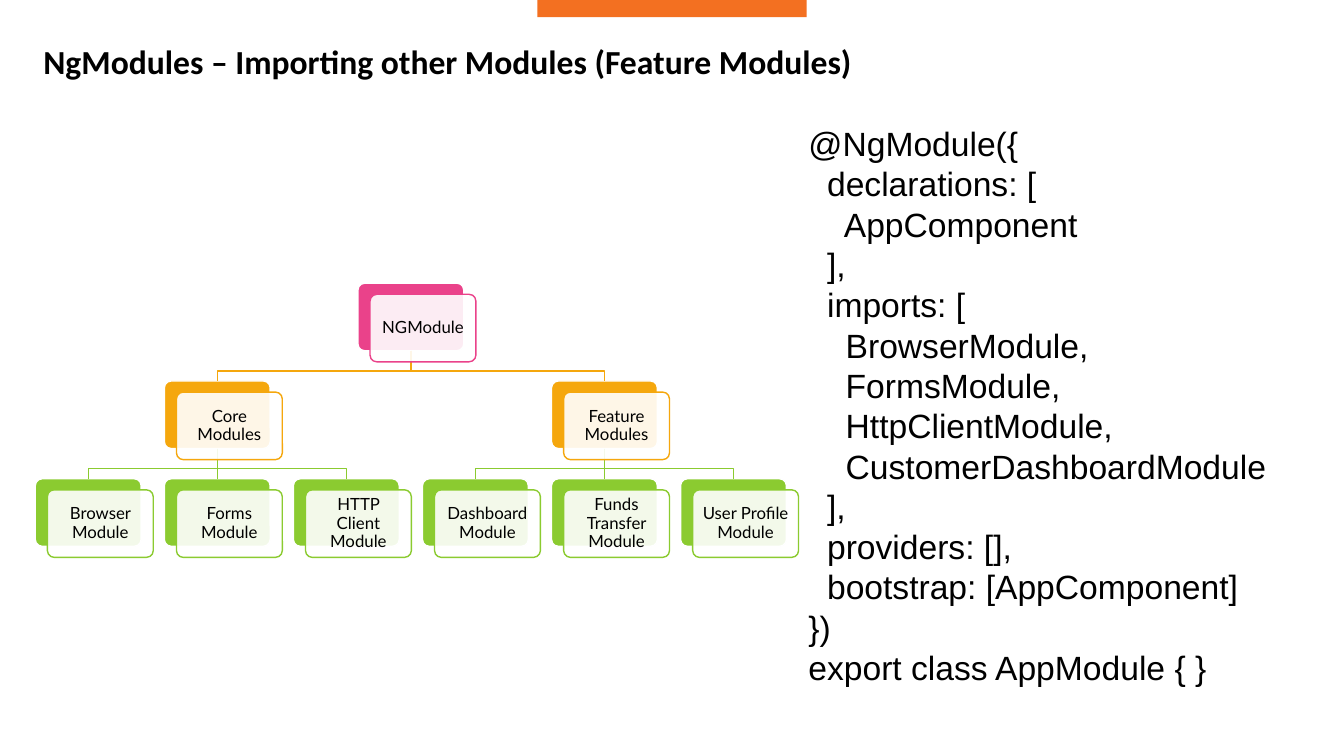
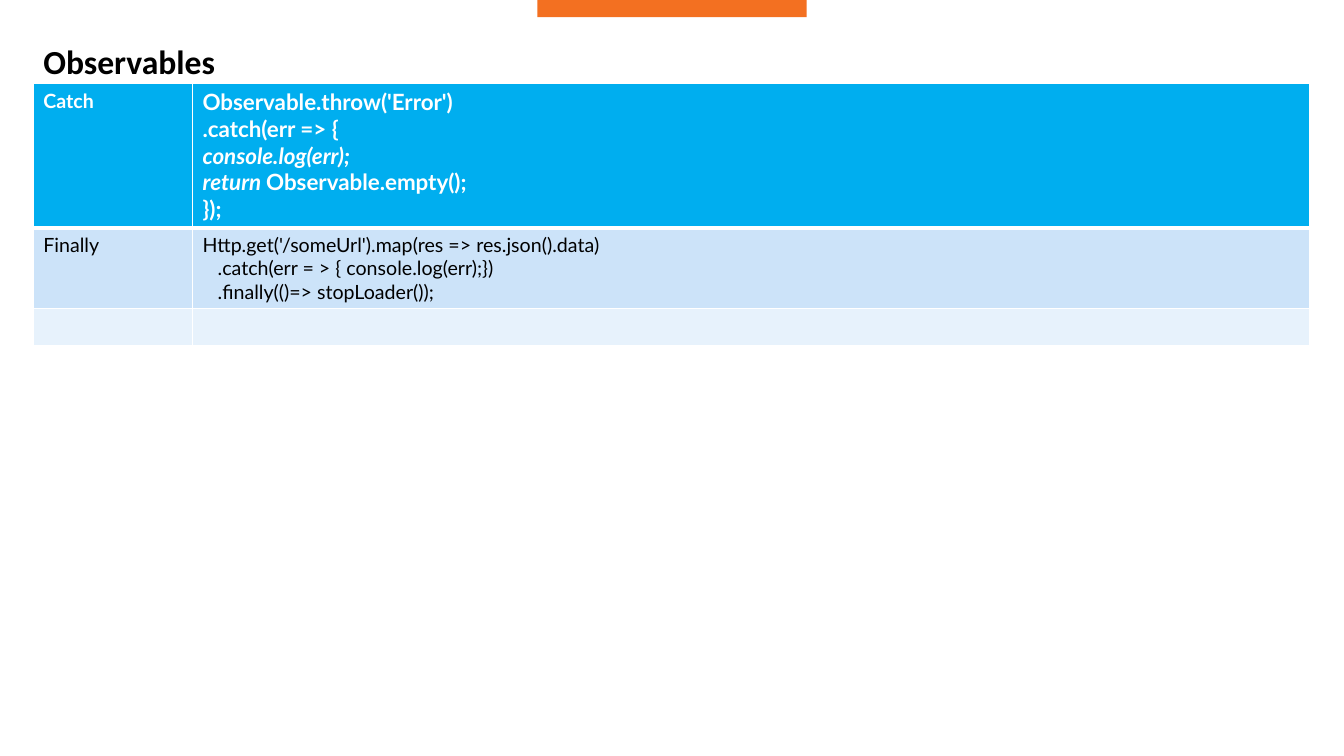
from lxml.etree import SubElement
from pptx import Presentation
from pptx.dml.color import RGBColor
from pptx.enum.shapes import MSO_CONNECTOR, MSO_SHAPE
from pptx.enum.text import MSO_ANCHOR, PP_ALIGN
from pptx.oxml.ns import qn
from pptx.util import Inches, Pt

COLORS = {
    "black": "000000", "white": "FFFFFF", "band": "F37021",
    "root": "EA428A", "group": "F5A70D", "leaf": "8BCB30",
    "header": "00AEEF", "row_dark": "CCE3F9", "row_light": "E7F2FC",
}
TITLE_FONT = {"name": "Calibri", "size": Pt(24), "bold": True}
CODE_FONT = {"name": "Arial", "size": Pt(24)}
CARD_FONT = {"name": "Lato", "size": Pt(12)}
CELL_FONT = {"name": "Lato", "size": Pt(14), "bold": False}
HEADER_FONT = {"name": "Lato", "size": Pt(14), "bold": True}
HEADER_CODE_FONT = {**HEADER_FONT, "size": Pt(16)}

CARD_WIDTH, CARD_HEIGHT = 1.05, 0.67
COLUMN_STEP, LEVEL_STEP = 1.28, 0.97
FRONT_SHIFT_X, FRONT_SHIFT_Y = 0.12, 0.11

# Each card: text, level, column and the index of its parent card
MODULE_TREE = [
    ("NGModule", 0, 2.5, None),
    ("Core Modules", 1, 1, 0),
    ("Feature Modules", 1, 4, 0),
    ("Browser Module", 2, 0, 1),
    ("Forms Module", 2, 1, 1),
    ("HTTP Client Module", 2, 2, 1),
    ("Dashboard Module", 2, 3, 2),
    ("Funds Transfer Module", 2, 4, 2),
    ("User Profile Module", 2, 5, 2),
]
LEVEL_COLORS = ["root", "group", "leaf"]

MODULE_CODE = """@NgModule({
  declarations: [
    AppComponent
  ],
  imports: [
    BrowserModule,
    FormsModule,
    HttpClientModule,
    CustomerDashboardModule
  ],
  providers: [],
  bootstrap: [AppComponent]
})
export class AppModule { }"""

# Each cell is a list of lines, each line a list of (text, italic) runs
CATCH_CODE = [
    [("Observable.throw('Error')", False)],
    [(".catch(err => {", False)],
    [("console.log(err);", True)],
    [("return ", True), ("Observable.empty();", False)],
    [("});", False)],
]
FINALLY_CODE = [
    [("Http.get('/someUrl').map(res => res.json().data)", False)],
    [("   .catch(err = > { console.log(err);})", False)],
    [("   .finally(()=> stopLoader());", False)],
]
# Each row: height, fill, text colour, bottom border, and (lines, font) per cell
OBSERVABLE_ROWS = [
    (1.43, "header", "white", 3,
     [([[("Catch", False)]], HEADER_FONT), (CATCH_CODE, HEADER_CODE_FONT)]),
    (0.79, "row_dark", "black", 1,
     [([[("Finally", False)]], CELL_FONT), (FINALLY_CODE, CELL_FONT)]),
    (0.37, "row_light", "black", 1, [([], CELL_FONT), ([], CELL_FONT)]),
]


def rgb(color):
    return RGBColor.from_string(COLORS[color])


def format_font(font, values, color="black"):
    for name, value in values.items():
        setattr(font, name, value)
    font.color.rgb = rgb(color)


def fill_solid(fill, color):
    fill.solid()
    fill.fore_color.rgb = rgb(color)


def format_line(line, color, width=1):
    line.color.rgb = rgb(color)
    line.width = Pt(width)


def add_titled_slide(presentation, title_text):
    """Add a title-only slide with the top band and the shared title style."""
    slide = presentation.slides.add_slide(presentation.slide_layouts[5])
    band = slide.shapes.add_shape(
        MSO_SHAPE.RECTANGLE, Inches(5.33), 0, Inches(2.67), Inches(0.17))
    band.shadow.inherit = False
    fill_solid(band.fill, "band")
    band.line.fill.background()

    title = slide.shapes.title
    title.left, title.top = Inches(0.33), Inches(0.43)
    title.width, title.height = Inches(12.67), Inches(0.57)
    frame = title.text_frame
    frame.text = title_text
    frame.vertical_anchor = MSO_ANCHOR.TOP
    paragraph = frame.paragraphs[0]
    paragraph.alignment = PP_ALIGN.LEFT
    paragraph.line_spacing = 0.8
    format_font(paragraph.runs[0].font, TITLE_FONT)
    return slide


def add_card(slide, left, top):
    card = slide.shapes.add_shape(
        MSO_SHAPE.ROUNDED_RECTANGLE, left, top,
        Inches(CARD_WIDTH), Inches(CARD_HEIGHT))
    card.adjustments[0] = 0.1
    card.shadow.inherit = False
    return card


def add_back_card(slide, left, top, color):
    card = add_card(slide, left, top)
    fill_solid(card.fill, color)
    format_line(card.line, "white")
    return card


def add_front_card(slide, back, text, color):
    """Add the translucent labelled card, shifted from its back card."""
    card = add_card(slide, back.left + Inches(FRONT_SHIFT_X),
                    back.top + Inches(FRONT_SHIFT_Y))
    fill_solid(card.fill, "white")
    white = card.fill._xPr.find(qn("a:solidFill"))[0]
    SubElement(white, qn("a:alpha"), val="90000")
    format_line(card.line, color)
    frame = card.text_frame
    frame.word_wrap = True
    for side in ("left", "top", "right", "bottom"):
        setattr(frame, f"margin_{side}", Inches(0.06))
    frame.vertical_anchor = MSO_ANCHOR.MIDDLE
    frame.text = text
    paragraph = frame.paragraphs[0]
    paragraph.alignment = PP_ALIGN.CENTER
    paragraph.line_spacing = 0.9
    format_font(paragraph.runs[0].font, CARD_FONT)


def join_cards(slide, parent, child, color):
    """Draw a straight line to a child below its parent, else a bent one."""
    start_x, end_x = (card.left + card.width // 2 for card in (parent, child))
    start_y, end_y = parent.top + parent.height, child.top
    if parent.left == child.left:
        link = slide.shapes.add_connector(
            MSO_CONNECTOR.STRAIGHT, start_x, start_y, end_x, end_y)
        link.begin_connect(parent, 2)
        link.end_connect(child, 0)
        SubElement(link._element.spPr, qn("a:effectLst"))
        format_line(link.line, color)
        return
    bend_y = start_y + (end_y - start_y) * 2 // 3
    builder = slide.shapes.build_freeform(start_x, start_y)
    builder.add_line_segments(
        [(start_x, bend_y), (end_x, bend_y), (end_x, end_y)], close=False)
    link = builder.convert_to_shape()
    link.shadow.inherit = False
    link.fill.background()
    format_line(link.line, color)


def add_module_tree(slide, left, top):
    backs = [
        add_back_card(slide, Inches(left + column * COLUMN_STEP),
                      Inches(top + level * LEVEL_STEP), LEVEL_COLORS[level])
        for _, level, column, _ in MODULE_TREE
    ]
    for back, (_, level, _, parent) in zip(backs, MODULE_TREE):
        if parent is not None:
            join_cards(slide, backs[parent], back, LEVEL_COLORS[level])
    for back, (text, level, _, _) in zip(backs, MODULE_TREE):
        add_front_card(slide, back, text, LEVEL_COLORS[level])


def add_code(slide, left, top, width, height):
    box = slide.shapes.add_textbox(
        Inches(left), Inches(top), Inches(width), Inches(height))
    frame = box.text_frame
    frame.word_wrap = True
    frame.text = MODULE_CODE
    for paragraph in frame.paragraphs:
        format_font(paragraph.runs[0].font, CODE_FONT)


def set_borders(cell, top_width, bottom_width):
    properties = cell._tc.get_or_add_tcPr()
    widths = {"lnL": 1, "lnR": 1, "lnT": top_width, "lnB": bottom_width}
    for side, width in widths.items():
        border = SubElement(properties, qn(f"a:{side}"), w=str(Pt(width)))
        solid = SubElement(border, qn("a:solidFill"))
        SubElement(solid, qn("a:srgbClr"), val=COLORS["white"])


def write_cell(cell, lines, font, color):
    frame = cell.text_frame
    if not lines:
        end = frame.paragraphs[0]._p.get_or_add_endParaRPr()
        end.set("sz", str(int(font["size"].pt * 100)))
    for index, line in enumerate(lines):
        paragraph = frame.add_paragraph() if index else frame.paragraphs[0]
        for text, italic in line:
            run = paragraph.add_run()
            run.text = text
            format_font(run.font, {**font, "italic": italic}, color)


def add_observable_table(slide, left, top, column_widths):
    heights = [row[0] for row in OBSERVABLE_ROWS]
    table = slide.shapes.add_table(
        len(heights), len(column_widths), Inches(left), Inches(top),
        Inches(sum(column_widths)), Inches(sum(heights))).table
    for column, width in zip(table.columns, column_widths):
        column.width = Inches(width)
    top_border = 1
    for row, values in zip(table.rows, OBSERVABLE_ROWS):
        height, fill, color, bottom_border, contents = values
        row.height = Inches(height)
        for cell, (lines, font) in zip(row.cells, contents):
            set_borders(cell, top_border, bottom_border)
            fill_solid(cell.fill, fill)
            write_cell(cell, lines, font, color)
        top_border = bottom_border


def build_modules_slide(presentation):
    slide = add_titled_slide(
        presentation, "NgModules – Importing other Modules (Feature Modules)")
    add_module_tree(slide, 0.35, 2.81)
    add_code(slide, 7.92, 1.17, 4.9, 5.76)


def build_observables_slide(presentation):
    slide = add_titled_slide(presentation, "Observables")
    add_observable_table(slide, 0.33, 0.83, [1.58, 11.08])


def main():
    presentation = Presentation()
    presentation.slide_width = Inches(13.33)
    presentation.slide_height = Inches(7.5)
    build_modules_slide(presentation)
    build_observables_slide(presentation)
    presentation.save("out.pptx")


if __name__ == "__main__":
    main()
